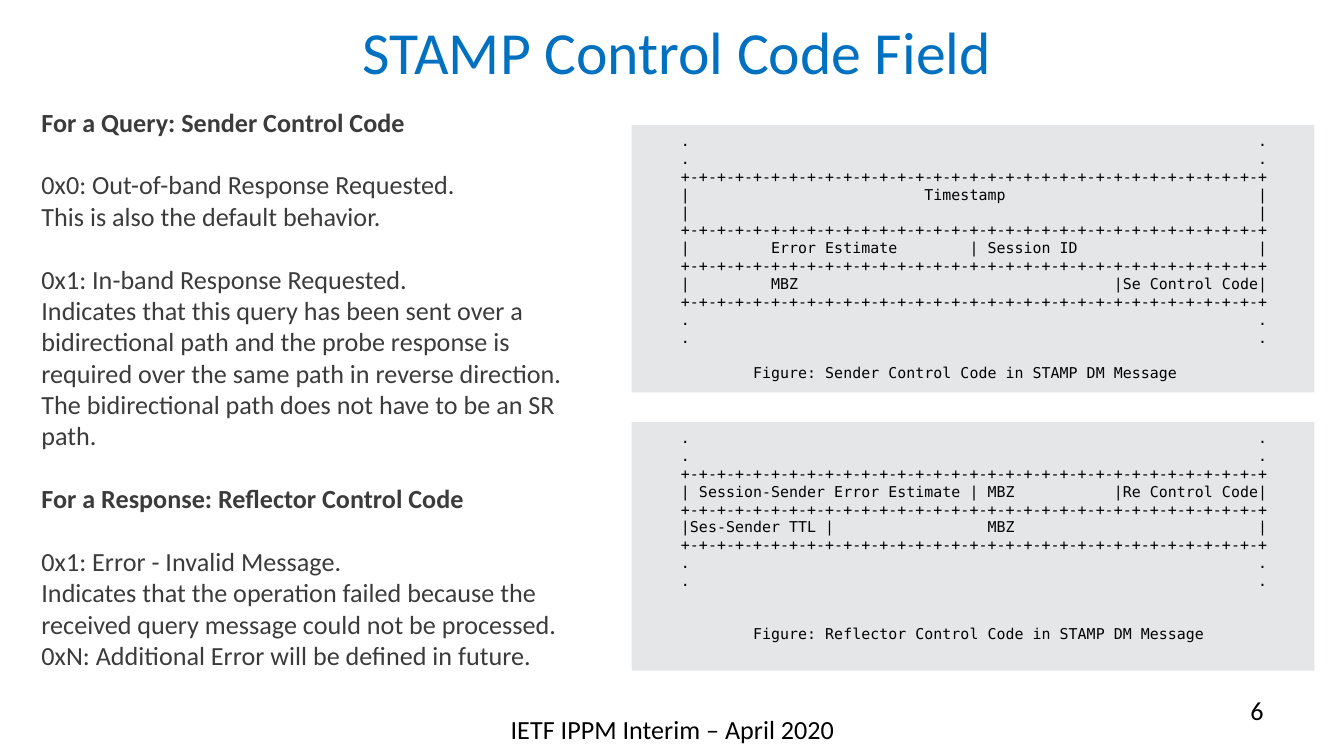
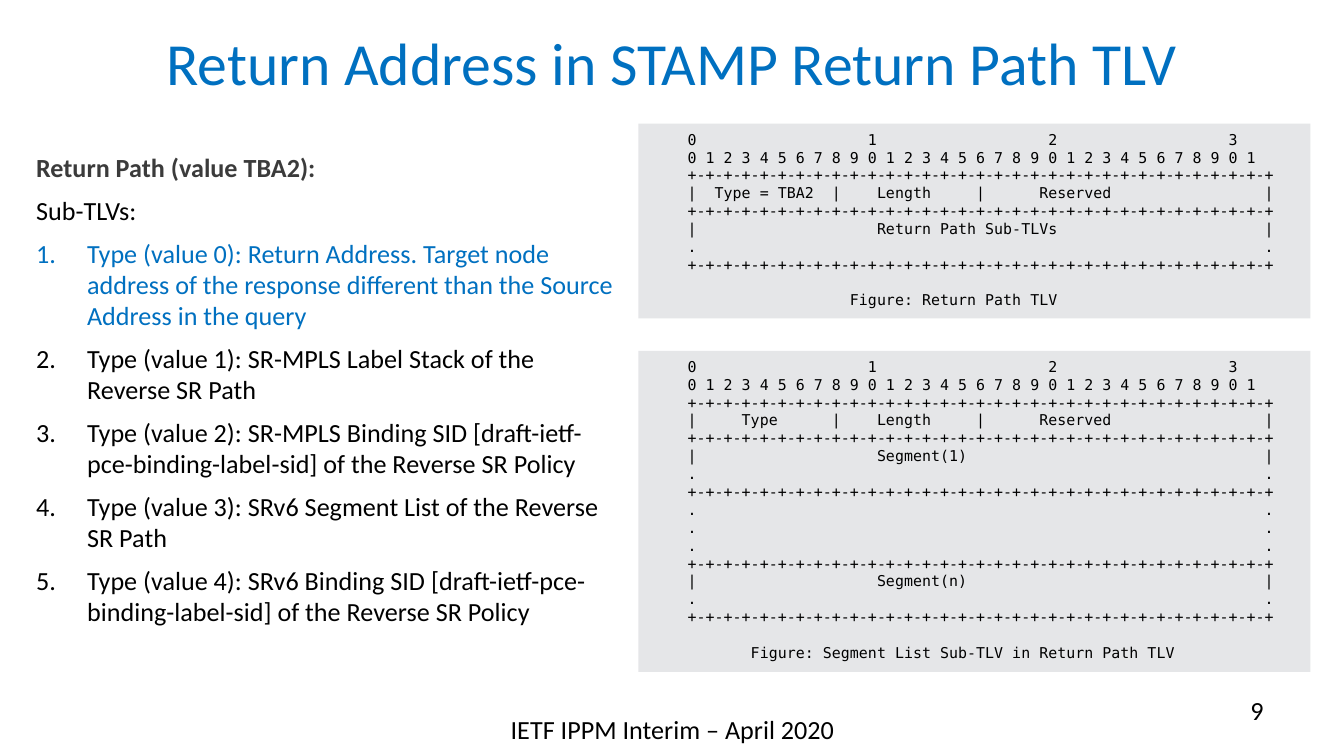
from lxml.etree import SubElement
from pptx import Presentation
from pptx.dml.color import RGBColor
from pptx.enum.shapes import MSO_SHAPE as Shape
from pptx.enum.text import MSO_ANCHOR as Anchor, PP_ALIGN as Align
from pptx.oxml.ns import qn
from pptx.util import Inches, Pt

SLIDE_WIDTH = 10
SLIDE_HEIGHT = SLIDE_WIDTH * 9 / 16
COLORS = {"blue": "0070C0", "black": "000000", "gray": "3B3B3B", "panel": "E5E6E8"}
BODY_FONT, CODE_FONT = "Calibri", "DejaVu Sans Mono"
BODY_LINE, CODE_LINE = 16.8, 9.5
FOOTER = "IETF IPPM Interim – April 2020"

RULE = "+-" * 32 + "+"
DOTS = "." + " " * 63 + "."
BIT_RULER = [
    "0                   1                   2                   3",
    "0 1 2 3 4 5 6 7 8 9 0 1 2 3 4 5 6 7 8 9 0 1 2 3 4 5 6 7 8 9 0 1",
    RULE,
]
SENDER_ROWS = [
    DOTS, DOTS, RULE,
    "|                          Timestamp                            |",
    "|                                                               |",
    RULE,
    "|         Error Estimate        | Session ID                    |",
    RULE,
    "|         MBZ                                   |Se Control Code|",
    RULE, DOTS, DOTS,
]
REFLECTOR_ROWS = [
    DOTS, DOTS, RULE,
    "| Session-Sender Error Estimate | MBZ           |Re Control Code|",
    RULE,
    "|Ses-Sender TTL |                 MBZ                           |",
    RULE, DOTS, DOTS,
]
RETURN_PATH_ROWS = BIT_RULER + [
    "|  Type = TBA2  |    Length     |      Reserved                 |",
    RULE,
    "|                    Return Path Sub-TLVs                       |",
    DOTS, RULE,
]
SEGMENT_LIST_ROWS = BIT_RULER + [
    "|     Type      |    Length     |      Reserved                 |",
    RULE,
    "|                    Segment(1)                                 |",
    DOTS, RULE, DOTS, DOTS, DOTS, RULE,
    "|                    Segment(n)                                 |",
    DOTS, RULE,
]

HEADING = {"bold": True, "color": "gray"}
AFTER_GAP = {"before": BODY_LINE}
CONTROL_CODES = [
    ("For a Query: Sender Control Code", HEADING),
    ("0x0: Out-of-band Response Requested.", AFTER_GAP),
    ("This is also the default behavior.", {}),
    ("0x1: In-band Response Requested.", AFTER_GAP),
    ("Indicates that this query has been sent over a bidirectional path and the "
     "probe response is required over the same path in reverse direction.", {}),
    ("The bidirectional path does not have to be an SR path.", {}),
    ("For a Response: Reflector Control Code", HEADING | AFTER_GAP),
    ("0x1: Error - Invalid Message.", AFTER_GAP),
    ("Indicates that the operation failed because the received query message "
     "could not be processed.", {}),
    ("0xN: Additional Error will be defined in future.", {}),
]
ITEM = {"numbered": True, "before": 6}
SUB_TLVS = [
    ("Return Path (value TBA2):", HEADING),
    ("Sub-TLVs:", {"before": 6}),
    ("Type (value 0): Return Address. Target node address of the response "
     "different than the Source Address in the query", ITEM | {"color": "blue"}),
    ("Type (value 1): SR-MPLS Label Stack of the Reverse SR Path", ITEM),
    ("Type (value 2): SR-MPLS Binding SID [draft-ietf-pce-binding-label-sid] "
     "of the Reverse SR Policy", ITEM),
    ("Type (value 3): SRv6 Segment List of the Reverse SR Path", ITEM),
    ("Type (value 4): SRv6 Binding SID [draft-ietf-pce-binding-label-sid] "
     "of the Reverse SR Policy", ITEM),
]


def rgb(name):
    return RGBColor.from_string(COLORS[name])


def number_paragraph(paragraph):
    properties = paragraph._p.get_or_add_pPr()
    properties.set("marL", str(Inches(0.38)))
    properties.set("indent", str(-Inches(0.38)))
    SubElement(properties, qn("a:buAutoNum"), type="arabicPeriod")


def write_paragraph(paragraph, text, font=BODY_FONT, size=14, color="black",
                    bold=False, align=Align.LEFT, before=0, numbered=False):
    if numbered:
        number_paragraph(paragraph)
    paragraph.alignment = align
    paragraph.space_before = Pt(before)
    run = paragraph.add_run()
    run.text = text
    run.font.name, run.font.size, run.font.bold = font, Pt(size), bold
    run.font.color.rgb = rgb(color)


def fill_text(shape, entries, anchor=Anchor.TOP, **style):
    frame = shape.text_frame
    frame.word_wrap = True
    frame.vertical_anchor = anchor
    for index, (text, overrides) in enumerate(entries):
        paragraph = frame.add_paragraph() if index else frame.paragraphs[0]
        write_paragraph(paragraph, text, **(style | overrides))


def add_text(slide, box, entries, **style):
    if isinstance(entries, str):
        entries = [(entries, {})]
    fill_text(slide.shapes.add_textbox(*map(Inches, box)), entries, **style)


def add_figure(slide, box, rows, caption, caption_column, blank_rows=1):
    panel = slide.shapes.add_shape(Shape.RECTANGLE, *map(Inches, box))
    panel.shadow.inherit = False
    panel.fill.solid()
    panel.fill.fore_color.rgb = rgb("panel")
    panel.line.fill.background()
    entries = [(" " * 4 + row, {}) for row in rows]
    entries.append((" " * caption_column + caption, {"before": blank_rows * CODE_LINE}))
    fill_text(panel, entries, font=CODE_FONT, size=8)


def add_base_slide(presentation, title, title_left, title_top, number):
    slide = presentation.slides.add_slide(presentation.slide_layouts[6])
    add_text(slide, (title_left, title_top, 9.5, 0.94), title, size=32,
             color="blue", align=Align.CENTER, anchor=Anchor.MIDDLE)
    add_text(slide, (3.42, 5.26, 3.17, 0.39), FOOTER, align=Align.CENTER)
    add_text(slide, (7.17, 5.12, 2.33, 0.39), str(number), align=Align.RIGHT)
    return slide


def build_control_code(presentation):
    slide = add_base_slide(presentation, "STAMP Control Code Field", 0.29, -0.09, 6)
    add_figure(slide, (4.7, 0.93, 5.08, 1.99), SENDER_ROWS,
               "Figure: Sender Control Code in STAMP DM Message", 12)
    add_text(slide, (0.21, 0.74, 4.31, 4.34), CONTROL_CODES, color="gray")
    add_figure(slide, (4.7, 3.14, 5.08, 1.85), REFLECTOR_ROWS,
               "Figure: Reflector Control Code in STAMP DM Message", 12, blank_rows=2)


def build_return_address(presentation):
    slide = add_base_slide(presentation, "Return Address in STAMP Return Path TLV",
                           0.25, -0.01, 9)
    add_figure(slide, (4.75, 0.92, 5, 1.45), RETURN_PATH_ROWS,
               "Figure: Return Path TLV", 22)
    add_text(slide, (0.17, 1.08, 4.5, 3.66), SUB_TLVS)
    add_figure(slide, (4.75, 2.61, 5, 2.39), SEGMENT_LIST_ROWS,
               "Figure: Segment List Sub-TLV in Return Path TLV", 11)


def main():
    presentation = Presentation()
    presentation.slide_width = Inches(SLIDE_WIDTH)
    presentation.slide_height = Inches(SLIDE_HEIGHT)
    build_control_code(presentation)
    build_return_address(presentation)
    presentation.save("out.pptx")


if __name__ == "__main__":
    main()
